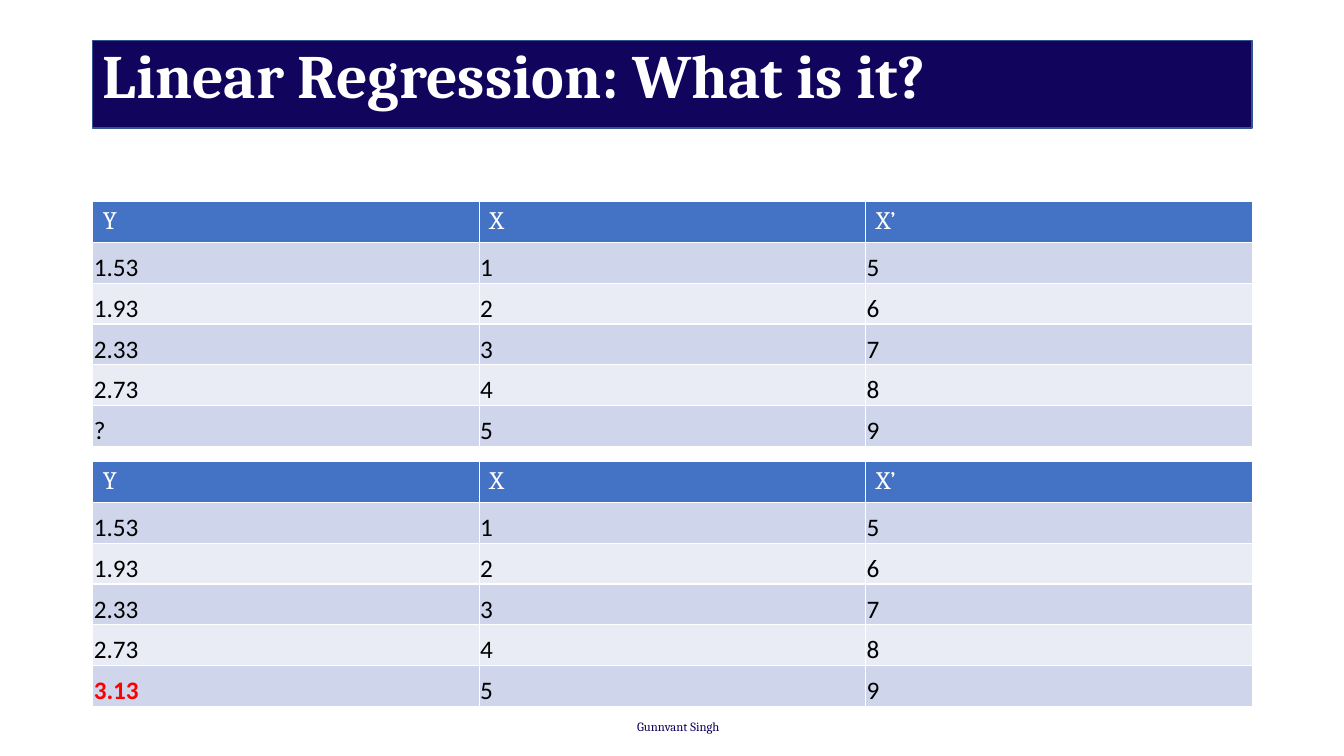
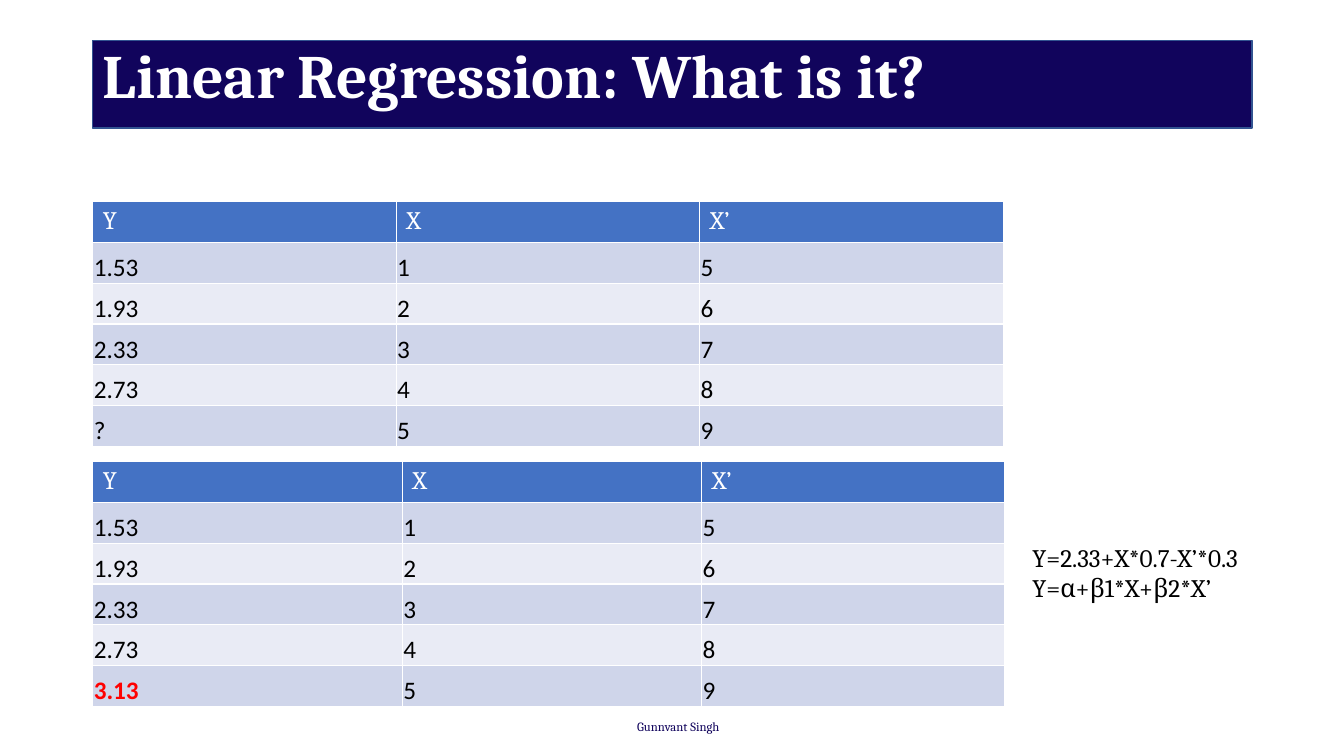
"""Build two slides that introduce linear regression with sample tables."""
from dataclasses import dataclass

import pptx
import pptx.dml.color
import pptx.enum.shapes
import pptx.enum.text
import pptx.slide
import pptx.text.text
import pptx.util

Inches = pptx.util.Inches
Anchor = pptx.enum.text.MSO_ANCHOR

NAVY, BAND_EDGE, HEADER_BLUE = "11045C", "325491", "4472C4"
ROW_TINTS = ("CFD5EA", "E9EBF5")
WHITE, BLACK, RED = "FFFFFF", "000000", "FF0000"
HEADING_FONT, NUMBER_FONT = "Cambria", "Calibri"
LEFT, BAND_TOP, BAND_WIDTH = 0.92, 0.4, 11.5
ROW_HEIGHT, UNKNOWN_TOP, PREDICTED_TOP = 0.405, 2, 4.58

HEADINGS = ("Y", "X", "X’")
OBSERVATIONS = (
    ("1.53", "1", "5"),
    ("1.93", "2", "6"),
    ("2.33", "3", "7"),
    ("2.73", "4", "8"),
)
UNKNOWN, PREDICTED = "?", "3.13"


@dataclass(frozen=True)
class DataTable:
    """A sample table whose last Y value is unknown or predicted."""
    top: float
    last_y: str
    widths: tuple[float, ...]


@dataclass(frozen=True)
class Lesson:
    """The content of one slide."""
    tables: tuple[DataTable, ...]
    formulas: tuple[str, ...] = ()


EQUAL_WIDE = (BAND_WIDTH / 3,) * 3
LESSONS = (
    Lesson((
        DataTable(UNKNOWN_TOP, UNKNOWN, EQUAL_WIDE),
        DataTable(PREDICTED_TOP, PREDICTED, EQUAL_WIDE),
    )),
    Lesson(
        (
            DataTable(UNKNOWN_TOP, UNKNOWN, (3.01,) * 3),
            DataTable(PREDICTED_TOP, PREDICTED, (3.07, 2.97, 3)),
        ),
        ("Y=2.33+X*0.7-X’*0.3", "Y=α+β1*X+β2*X’"),
    ),
)


def rgb(value: str) -> pptx.dml.color.RGBColor:
    """Turn a hex string into a colour."""
    return pptx.dml.color.RGBColor.from_string(value)


def write(frame: pptx.text.text.TextFrame, *lines: str, size: float = 18,
          font: str = HEADING_FONT, color: str = BLACK, bold: bool = False,
          spacing: float = 1.0) -> None:
    """Write left-aligned lines, one paragraph each, in one format."""
    for index, line in enumerate(lines):
        paragraph = frame.add_paragraph() if index else frame.paragraphs[0]
        paragraph.alignment = pptx.enum.text.PP_ALIGN.LEFT
        paragraph.line_spacing = spacing
        run = paragraph.add_run()
        run.text = line
        run.font.size = pptx.util.Pt(size)
        run.font.name = font
        run.font.bold = bold
        run.font.color.rgb = rgb(color)


def add_label(slide: pptx.slide.Slide, left: float, top: float, width: float,
              height: float, *lines: str, **style) -> None:
    """Add a wrapped text box."""
    label = slide.shapes.add_textbox(
        Inches(left), Inches(top), Inches(width), Inches(height))
    label.text_frame.word_wrap = True
    write(label.text_frame, *lines, **style)


def add_frame(slide: pptx.slide.Slide) -> None:
    """Add the title on its band and the footer."""
    band = slide.shapes.add_shape(
        pptx.enum.shapes.MSO_SHAPE.RECTANGLE, Inches(LEFT), Inches(BAND_TOP),
        Inches(BAND_WIDTH), Inches(0.87))
    band.shadow.inherit = False
    band.fill.solid()
    band.fill.fore_color.rgb = rgb(NAVY)
    band.line.color.rgb = rgb(BAND_EDGE)
    band.line.width = pptx.util.Pt(1)

    add_label(slide, 6.22, 7.08, 1.08, 0.25, "Gunnvant Singh",
              size=9, color=NAVY)

    title = slide.shapes.title
    title.element.getparent().append(title.element)
    title.left, title.top = Inches(LEFT), Inches(BAND_TOP)
    title.width, title.height = Inches(BAND_WIDTH), Inches(1.45)
    title.text_frame.vertical_anchor = Anchor.TOP
    title.text_frame.auto_size = pptx.enum.text.MSO_AUTO_SIZE.NONE
    write(title.text_frame, "Linear Regression: What is it?", size=44,
          color=WHITE, bold=True, spacing=0.9)


def add_data_table(slide: pptx.slide.Slide, data: DataTable) -> None:
    """Add a table of the observations and the last row."""
    rows = (HEADINGS, *OBSERVATIONS, (data.last_y, "5", "9"))
    table = slide.shapes.add_table(
        len(rows), len(HEADINGS), Inches(LEFT), Inches(data.top),
        Inches(sum(data.widths)), Inches(ROW_HEIGHT * len(rows))).table
    for column, width in zip(table.columns, data.widths):
        column.width = Inches(width)
    for row_index, values in enumerate(rows):
        for column_index, value in enumerate(values):
            cell = table.cell(row_index, column_index)
            cell.fill.solid()
            if row_index == 0:
                cell.fill.fore_color.rgb = rgb(HEADER_BLUE)
                write(cell.text_frame, value, color=WHITE)
                continue
            cell.fill.fore_color.rgb = rgb(ROW_TINTS[(row_index - 1) % 2])
            cell.vertical_anchor = Anchor.BOTTOM
            cell.margin_left = cell.margin_right = Inches(0.01)
            cell.margin_top, cell.margin_bottom = Inches(0.01), Inches(0)
            predicted = value == PREDICTED
            write(cell.text_frame, value, font=NUMBER_FONT,
                  color=RED if predicted else BLACK, bold=predicted)


def main() -> None:
    """Build and save the presentation."""
    deck = pptx.Presentation()
    deck.slide_width, deck.slide_height = Inches(13.33), Inches(7.5)
    title_only = deck.slide_layouts.get_by_name("Title Only")
    for lesson in LESSONS:
        slide = deck.slides.add_slide(title_only)
        add_frame(slide)
        for data in lesson.tables:
            add_data_table(slide, data)
        if lesson.formulas:
            add_label(slide, 10.14, 5.33, 2.61, 0.71, *lesson.formulas)
    deck.save("out.pptx")


if __name__ == "__main__":
    main()
